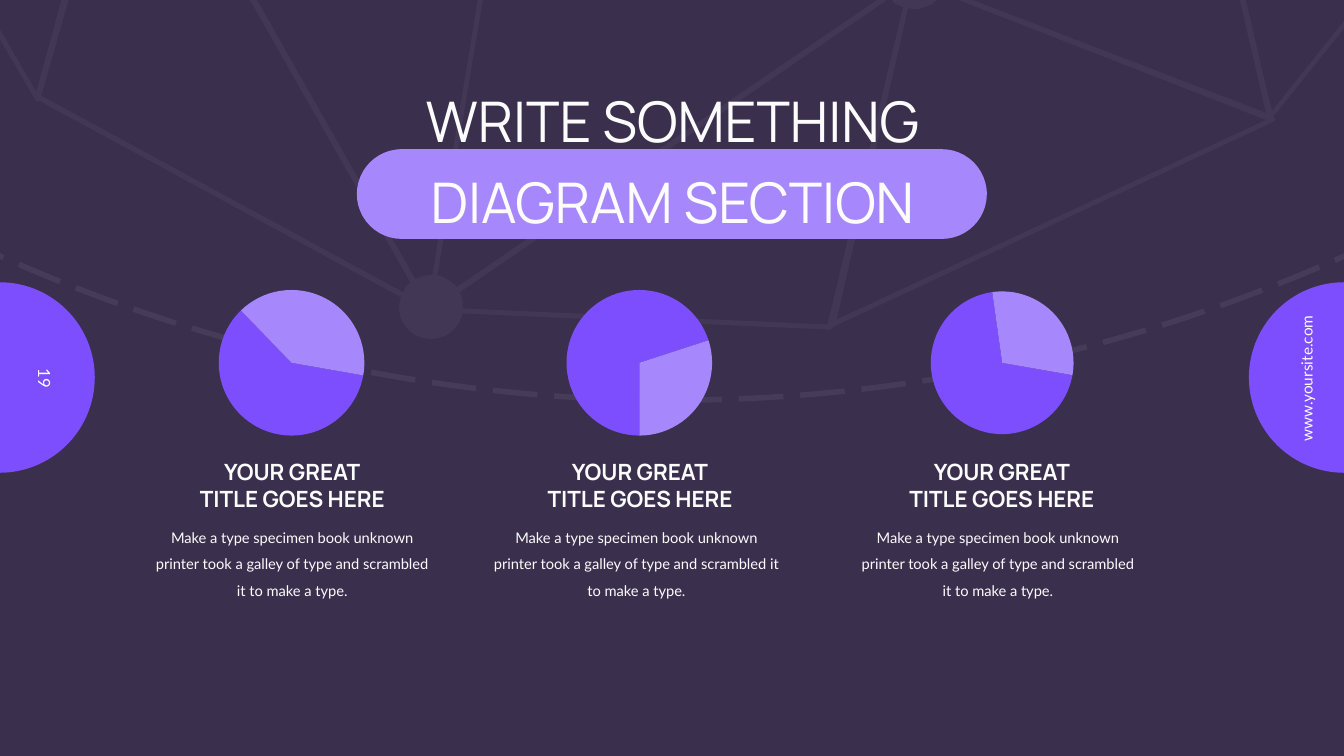
from dataclasses import dataclass
from typing import NamedTuple

from lxml.etree import SubElement
from pptx import Presentation
from pptx.chart.data import CategoryChartData
from pptx.dml.color import RGBColor
from pptx.enum.chart import XL_CHART_TYPE
from pptx.enum.dml import MSO_LINE
from pptx.enum.shapes import MSO_SHAPE
from pptx.enum.text import MSO_ANCHOR, MSO_AUTO_SIZE, PP_ALIGN
from pptx.oxml import parse_xml
from pptx.oxml.ns import nsdecls, qn
from pptx.util import Inches, Pt


@dataclass(frozen=True)
class Theme:
    back: str = "3B2F4E"
    deep: str = "7C4EFD"
    pale: str = "A688FC"
    white: str = "FCFCFC"
    head: str = "Manrope"
    text: str = "Lato"
    title: float = 40
    label: float = 16
    body: float = 10.5
    page: float = 12
    site: float = 11
    chart: float = 10


class Box(NamedTuple):
    left: float
    top: float
    width: float
    height: float


@dataclass(frozen=True)
class Column:
    pie: float      # left edges of the three parts
    label: float
    body: float
    width: float    # body width
    share: int      # percent of the deep slice
    start: int      # angle of the first slice
    burst: int = 0


THEME = Theme()
LABEL = "YOUR GREAT\nTITLE GOES HERE"
BODY = ("Make a type specimen book unknown printer took a galley of type "
        "and scrambled it to make a type.")
COLUMNS = [
    Column(2.17, 1.8, 1.5, 2.8, 60, 100),
    Column(5.62, 5.25, 4.9, 2.83, 70, 180),
    Column(9.22, 8.84, 8.49, 2.82, 70, 100, burst=2),
]

# Outlines: pairs are corners, sixes are cubic curves
MESH = [
    (-0.23, 0), (-0.17, 0), (0.36, 0.91), (0.61, 0), (0.68, 0), (0.41, 0.95),
    (4, 2.9), (4.01, 2.86, 4.04, 2.83, 4.07, 2.8), (2.48, 0), (2.55, 0),
    (4.12, 2.77), (4.16, 2.75, 4.2, 2.73, 4.25, 2.73),
    (4.26, 2.73, 4.28, 2.73, 4.29, 2.73),
    (4.74, 0), (4.79, 0), (4.7, 0.53), (4.34, 2.73),
    (4.42, 2.75, 4.48, 2.79, 4.53, 2.85), (8.7, 0), (8.8, 0), (7.66, 0.78),
    (4.56, 2.9), (4.58, 2.93, 4.59, 2.97, 4.59, 3.01),
    (4.59, 3.03, 4.59, 3.05, 4.59, 3.06), (8.21, 3.22), (8.96, 0.07),
    (8.93, 0.06, 8.91, 0.05, 8.88, 0.04), (8.85, 0), (9.29, 0),
    (9.25, 0.04), (9.2, 0.06, 9.16, 0.08, 9.11, 0.09),
    (9.08, 0.09, 9.04, 0.09, 9.01, 0.08), (8.3, 3.17), (12.56, 1.19),
    (9.51, 0), (9.65, 0), (12.56, 1.12), (12.3, 0), (12.36, 0),
    (12.54, 0.78), (12.62, 1.1), (13.5, 0), (13.56, 0), (12.63, 1.16),
    (12.64, 1.17, 12.65, 1.17, 12.65, 1.18),
    (12.65, 1.19, 12.64, 1.2, 12.63, 1.21), (8.27, 3.24), (8.26, 3.25),
    (8.25, 3.26, 8.24, 3.27, 8.23, 3.27), (4.59, 3.11),
    (4.56, 3.24, 4.45, 3.35, 4.31, 3.36),
    (4.14, 3.38, 3.98, 3.26, 3.96, 3.08),
    (3.96, 3.04, 3.96, 2.99, 3.98, 2.95), (0.39, 1),
    (0.39, 1, 0.38, 1.01, 0.38, 1.01), (0.37, 1.01, 0.36, 1.01, 0.35, 0.99),
]
ORBIT = [
    (-0.95, -0.91), (14.28, -0.91), (14.28, 2.08), (13.58, 2.43),
    (11.45, 3.42, 9.12, 3.97, 6.67, 3.97),
    (4.22, 3.97, 1.88, 3.42, -0.24, 2.43), (-0.95, 2.08),
]


def color(code: str) -> RGBColor:
    return RGBColor.from_string(code)


def place(box: Box) -> list:
    return [Inches(side) for side in box]


def fade(shape, share: int) -> None:
    """Set the opacity of the shape's one solid colour, in percent."""
    tone = next(shape._element.spPr.iter(qn("a:srgbClr")))
    SubElement(tone, qn("a:alpha")).set("val", str(share * 1000))


def trace(slide, outline: list):
    """Draw an outline, joining the three knots of each six into a curve."""
    spots = [(Inches(part[i]), Inches(part[i + 1]))
             for part in outline for i in range(0, len(part), 2)]
    pen = slide.shapes.build_freeform(*spots[0])
    pen.add_line_segments(spots[1:], close=True)
    shape = pen.convert_to_shape()
    shape.shadow.inherit = False
    lines = iter(list(shape._element.spPr.iter(qn("a:lnTo"))))
    for part in outline[1:]:
        knots = [next(lines) for _ in range(len(part) // 2)]
        if len(knots) == 3:
            curve = parse_xml(f'<a:cubicBezTo {nsdecls("a")}/>')
            knots[0].addprevious(curve)
            for knot in knots:
                curve.append(knot[0])
                knot.getparent().remove(knot)
    return shape


def add_form(slide, kind, box: Box, fill: str):
    shape = slide.shapes.add_shape(kind, *place(box))
    shape.shadow.inherit = False
    shape.fill.solid()
    shape.fill.fore_color.rgb = color(fill)
    shape.line.fill.background()
    return shape


def add_text(slide, text: str, box: Box, *, size: float, font: str = THEME.text,
             bold: bool = False, space: float = 1, turn: int = 0,
             inset: bool = False, wrap: bool = True, grow: bool = False,
             middle: bool = False) -> None:
    shape = slide.shapes.add_textbox(*place(box))
    shape.rotation = turn
    frame = shape.text_frame
    frame.word_wrap = wrap
    if not inset:
        frame.margin_left = frame.margin_right = 0
        frame.margin_top = frame.margin_bottom = 0
    if grow:
        frame.auto_size = MSO_AUTO_SIZE.SHAPE_TO_FIT_TEXT
    if middle:
        frame.vertical_anchor = MSO_ANCHOR.MIDDLE
    frame.text = text
    for line in frame.paragraphs:
        line.alignment = PP_ALIGN.CENTER
        line.line_spacing = space
        for run in line.runs:
            run.font.name = font
            run.font.size = Pt(size)
            run.font.bold = bold
            run.font.color.rgb = color(THEME.white)


def add_pie(slide, col: Column) -> None:
    data = CategoryChartData()
    data.categories = ["1", "2"]
    data.add_series("Series 1", [col.share, 100 - col.share])
    box = Box(col.pie, 2.87, 1.46, 1.46)
    chart = slide.shapes.add_chart(XL_CHART_TYPE.PIE, *place(box), data).chart
    chart.has_title = chart.has_legend = False
    chart.font.name = THEME.text
    chart.font.size = Pt(THEME.chart)
    chart.font.color.rgb = color(THEME.back)
    plot = chart.plots[0]
    plot.vary_by_categories = True
    for spot, fill in enumerate((THEME.deep, THEME.pale)):
        look = plot.series[0].points[spot].format
        look.fill.solid()
        look.fill.fore_color.rgb = color(fill)
        look.line.fill.background()

    # Slice angle, burst and plot layout
    area = chart._chartSpace.chart.plotArea
    pie = area.find(qn("c:pieChart"))
    for old in pie.findall(qn("c:firstSliceAng")):
        pie.remove(old)
    SubElement(pie, qn("c:firstSliceAng")).set("val", str(col.start))
    if col.burst:
        points = list(pie.iter(qn("c:dPt")))
        marks = [(points[0], col.burst)]
        marks += [(point.find(qn("c:spPr")), 0) for point in points]
        for mark, val in marks:
            mark.addprevious(parse_xml(
                f'<c:explosion {nsdecls("c")} val="{val}"/>'))
    for old in area.findall(qn("c:layout")):
        area.remove(old)
    area.insert(0, parse_xml(
        f'<c:layout {nsdecls("c")}><c:manualLayout>'
        '<c:layoutTarget val="inner"/><c:xMode val="edge"/>'
        '<c:yMode val="edge"/><c:x val="0"/><c:y val="0"/>'
        '<c:w val="0.99"/><c:h val="1"/></c:manualLayout></c:layout>'))


def main() -> None:
    deck = Presentation()
    deck.slide_width, deck.slide_height = Inches(40 / 3), Inches(7.5)
    slide = deck.slides.add_slide(deck.slide_layouts[6])
    slide.background.fill.solid()
    slide.background.fill.fore_color.rgb = color(THEME.back)
    # Side discs with page number and site
    for left in (-0.95, 12.39):
        add_form(slide, MSO_SHAPE.OVAL, Box(left, 2.8, 1.89, 1.89), THEME.deep)
    add_text(slide, "19", Box(-0.03, 3.31, 0.95, 0.89), size=THEME.page,
             turn=90, inset=True, middle=True)
    add_text(slide, "www.yoursite.com", Box(12.23, 3.61, 1.47, 0.29),
             size=THEME.site, turn=270, inset=True, wrap=False, grow=True)
    # Faint mesh and dashed orbit
    mesh = trace(slide, MESH)
    mesh.fill.solid()
    mesh.fill.fore_color.rgb = color(THEME.white)
    mesh.line.fill.background()
    fade(mesh, 4)
    orbit = trace(slide, ORBIT)
    orbit.fill.background()
    orbit.line.color.rgb = color(THEME.white)
    orbit.line.width = Pt(4)
    orbit.line.dash_style = MSO_LINE.LONG_DASH
    fade(orbit, 5)
    # Title on its pill
    pill = add_form(slide, MSO_SHAPE.ROUNDED_RECTANGLE,
                    Box(3.54, 1.48, 6.25, 0.89), THEME.pale)
    pill.adjustments[0] = 0.5
    add_text(slide, "WRITE SOMETHING\nDIAGRAM SECTION",
             Box(1.36, 0.73, 10.62, 1.55), size=THEME.title, font=THEME.head,
             space=1.2)
    # Pie columns
    for col in COLUMNS:
        add_pie(slide, col)
        add_text(slide, LABEL, Box(col.label, 4.55, 2.2, 0.54),
                 size=THEME.label, font=THEME.head, bold=True, grow=True)
        add_text(slide, BODY, Box(col.body, 5.16, col.width, 0.76),
                 size=THEME.body, space=1.5, grow=True)
    deck.save("out.pptx")


if __name__ == "__main__":
    main()
